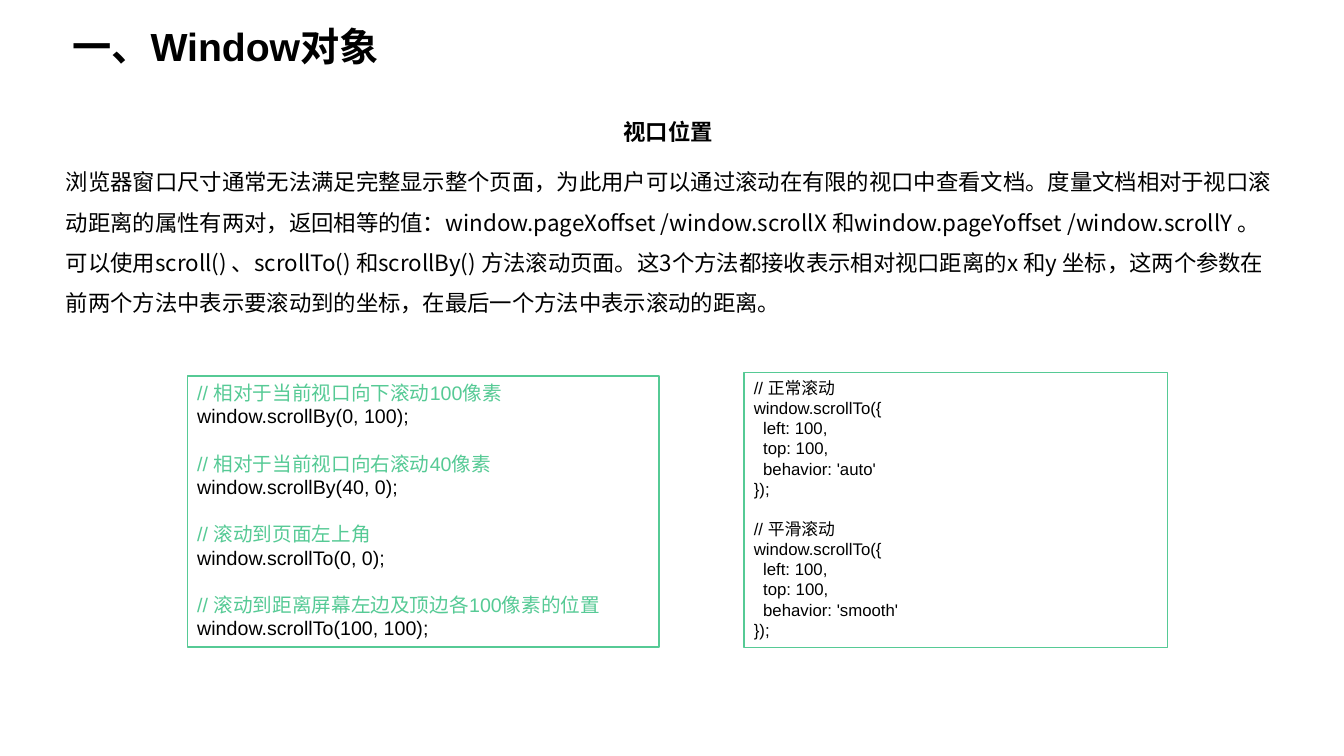
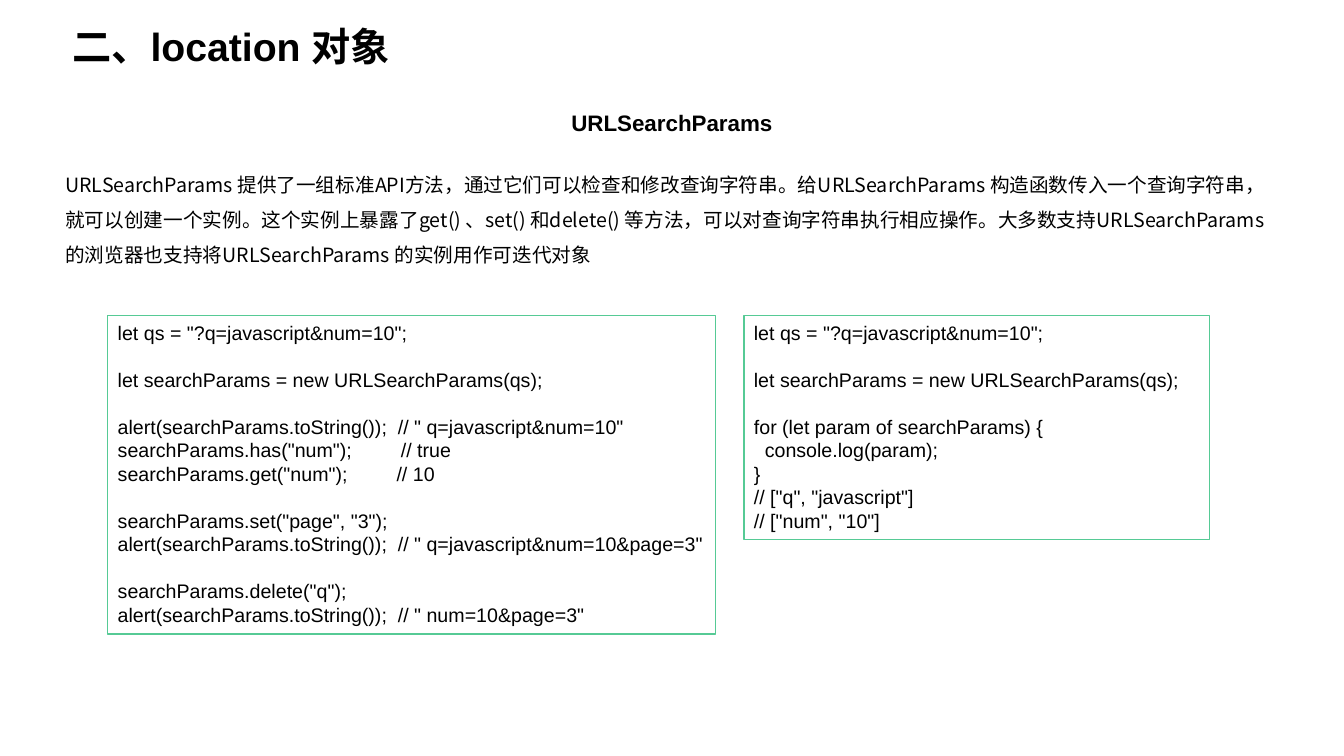
import dataclasses

import lxml.etree
import pptx
import pptx.dml.color
import pptx.enum.shapes
import pptx.enum.text
import pptx.oxml.ns
import pptx.util

Pt = pptx.util.Pt
qn = pptx.oxml.ns.qn
ALIGN = pptx.enum.text.PP_ALIGN

BLACK, WHITE, GREEN = "000000", "FFFFFF", "56CA95"
LATIN, HAN = "Arial", "Noto Sans CJK SC"
LEADING = 1.2  # line height as a share of the text size


@dataclasses.dataclass(frozen=True)
class Box:
    left: float
    top: float
    width: float
    height: float


@dataclasses.dataclass(frozen=True)
class Style:
    size: float
    font: str = LATIN
    bold: bool = False
    align: ALIGN = ALIGN.LEFT
    lines: float = 1


@dataclasses.dataclass(frozen=True)
class Panel:
    box: Box
    code: str
    size: float = 14
    note: str = BLACK


@dataclasses.dataclass(frozen=True)
class Page:
    title: str
    head: str
    head_box: Box
    head_style: Style
    body: str
    body_box: Box
    body_size: float
    panels: tuple[Panel, ...]


TITLE_BOX = Box(44.6, 12.4, 487, 41)
TITLE = Style(28, bold=True)
HEAD = Style(16, bold=True, align=ALIGN.CENTER)

PAGES = (
    Page(
        "一、Window对象",
        "视口位置", Box(54, 80.6, 846.5, 26.6), HEAD,
        "浏览器窗口尺寸通常无法满足完整显示整个页面，为此用户可以通过滚动在有限的视口中查看文档。"
        "度量文档相对于视口滚动距离的属性有两对，返回相等的值："
        "window.pageXoffset /window.scrollX 和window.pageYoffset /window.scrollY 。"
        "可以使用scroll() 、scrollTo() 和scrollBy() 方法滚动页面。"
        "这3个方法都接收表示相对视口距离的x 和y 坐标，"
        "这两个参数在前两个方法中表示要滚动到的坐标，在最后一个方法中表示滚动的距离。",
        Box(40, 107.3, 879, 124), 16,
        (
            Panel(Box(133.8, 268.5, 337, 193.7), """\
// 相对于当前视口向下滚动100像素
window.scrollBy(0, 100);

// 相对于当前视口向右滚动40像素
window.scrollBy(40, 0);

// 滚动到页面左上角
window.scrollTo(0, 0);

// 滚动到距离屏幕左边及顶边各100像素的位置
window.scrollTo(100, 100);""", note=GREEN),
            Panel(Box(531.4, 266.2, 302.4, 196.5), """\
// 正常滚动
window.scrollTo({
  left: 100,
  top: 100,
  behavior: 'auto'
});

// 平滑滚动
window.scrollTo({
  left: 100,
  top: 100,
  behavior: 'smooth'
});""", size=12),
        ),
    ),
    Page(
        "二、location 对象",
        "URLSearchParams", Box(30, 64.8, 900, 36),
        dataclasses.replace(HEAD, lines=1.5),
        "URLSearchParams 提供了一组标准API方法，通过它们可以检查和修改查询字符串。"
        "给URLSearchParams 构造函数传入一个查询字符串，就可以创建一个实例。"
        "这个实例上暴露了get() 、set() 和delete() 等方法，可以对查询字符串执行相应操作。"
        "大多数支持URLSearchParams 的浏览器也支持将URLSearchParams 的实例用作可迭代对象",
        Box(39.6, 111.4, 879, 83.5), 14,
        (
            Panel(Box(77, 225.4, 434, 227.5), """\
let qs = "?q=javascript&num=10";

let searchParams = new URLSearchParams(qs);

alert(searchParams.toString());  // " q=javascript&num=10"
searchParams.has("num");         // true
searchParams.get("num");         // 10

searchParams.set("page", "3");
alert(searchParams.toString());  // " q=javascript&num=10&page=3"

searchParams.delete("q");
alert(searchParams.toString());  // " num=10&page=3\""""),
            Panel(Box(531.4, 225.4, 332.6, 160), """\
let qs = "?q=javascript&num=10";

let searchParams = new URLSearchParams(qs);

for (let param of searchParams) {
  console.log(param);
}
// ["q", "javascript"]
// ["num", "10"]"""),
        ),
    ),
)


def color(code: str) -> pptx.dml.color.RGBColor:
    return pptx.dml.color.RGBColor.from_string(code)


def place(box: Box) -> tuple:
    return tuple(Pt(side) for side in dataclasses.astuple(box))


def write(para, text: str, style: Style, ink: str = BLACK) -> None:
    """Fill one paragraph with a run set in the given style."""
    para.alignment = style.align
    para.line_spacing = Pt(round(style.size * LEADING * style.lines, 1))
    run = para.add_run()
    run.text = text
    font = run.font
    font.name, font.size, font.bold = style.font, Pt(style.size), style.bold
    font.color.rgb = color(ink)
    east = lxml.etree.Element(qn("a:ea"), typeface=HAN)
    run._r.get_or_add_rPr().find(qn("a:latin")).addnext(east)


def label(slide, box: Box, text: str, style: Style) -> None:
    frame = slide.shapes.add_textbox(*place(box)).text_frame
    frame.word_wrap = True
    write(frame.paragraphs[0], text, style)


def draw(slide, panel: Panel) -> None:
    """Add a framed code panel, with a one-line gap between its blocks."""
    kind = pptx.enum.shapes.MSO_SHAPE.RECTANGLE
    shape = slide.shapes.add_shape(kind, *place(panel.box))
    shape.shadow.inherit = False
    shape.fill.solid()
    shape.fill.fore_color.rgb = color(WHITE)
    shape.line.color.rgb = color(GREEN)
    shape.line.width = Pt(1)
    frame = shape.text_frame
    frame.word_wrap = True
    frame.vertical_anchor = pptx.enum.text.MSO_ANCHOR.TOP
    style = Style(panel.size)
    para = frame.paragraphs[0]
    for i, block in enumerate(panel.code.split("\n\n")):
        for j, line in enumerate(block.split("\n")):
            if i or j:
                para = frame.add_paragraph()
            ink = panel.note if line.startswith("//") else BLACK
            write(para, line, style, ink)
            if i and not j:
                para.space_before = para.line_spacing


def build(deck, page: Page) -> None:
    slide = deck.slides.add_slide(deck.slide_layouts[6])
    label(slide, TITLE_BOX, page.title, TITLE)
    label(slide, page.head_box, page.head, page.head_style)
    label(slide, page.body_box, page.body, Style(page.body_size, HAN, lines=1.5))
    for panel in page.panels:
        draw(slide, panel)


def main() -> None:
    deck = pptx.Presentation()
    deck.slide_width, deck.slide_height = Pt(960), Pt(540)
    for page in PAGES:
        build(deck, page)
    deck.save("out.pptx")


if __name__ == "__main__":
    main()
